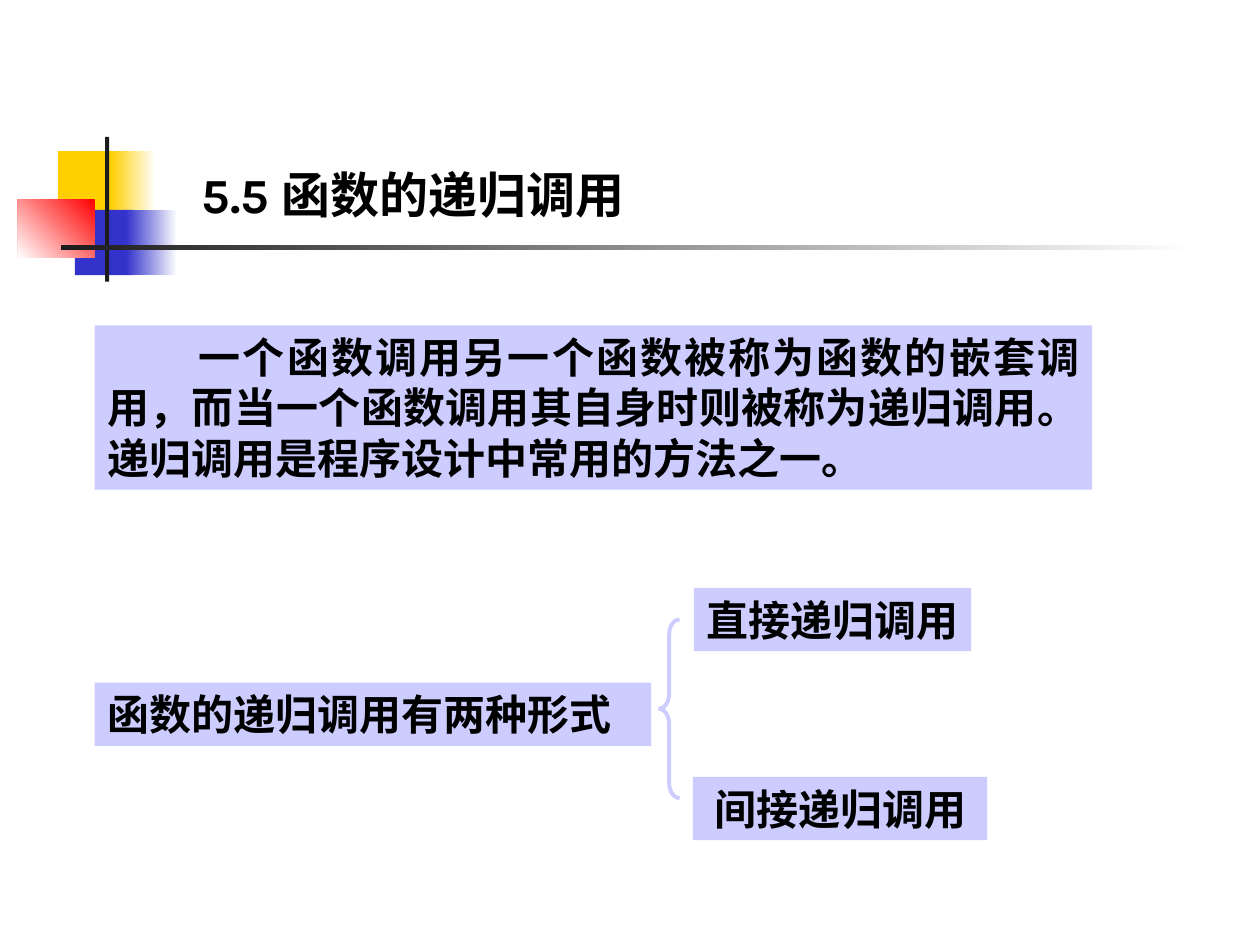
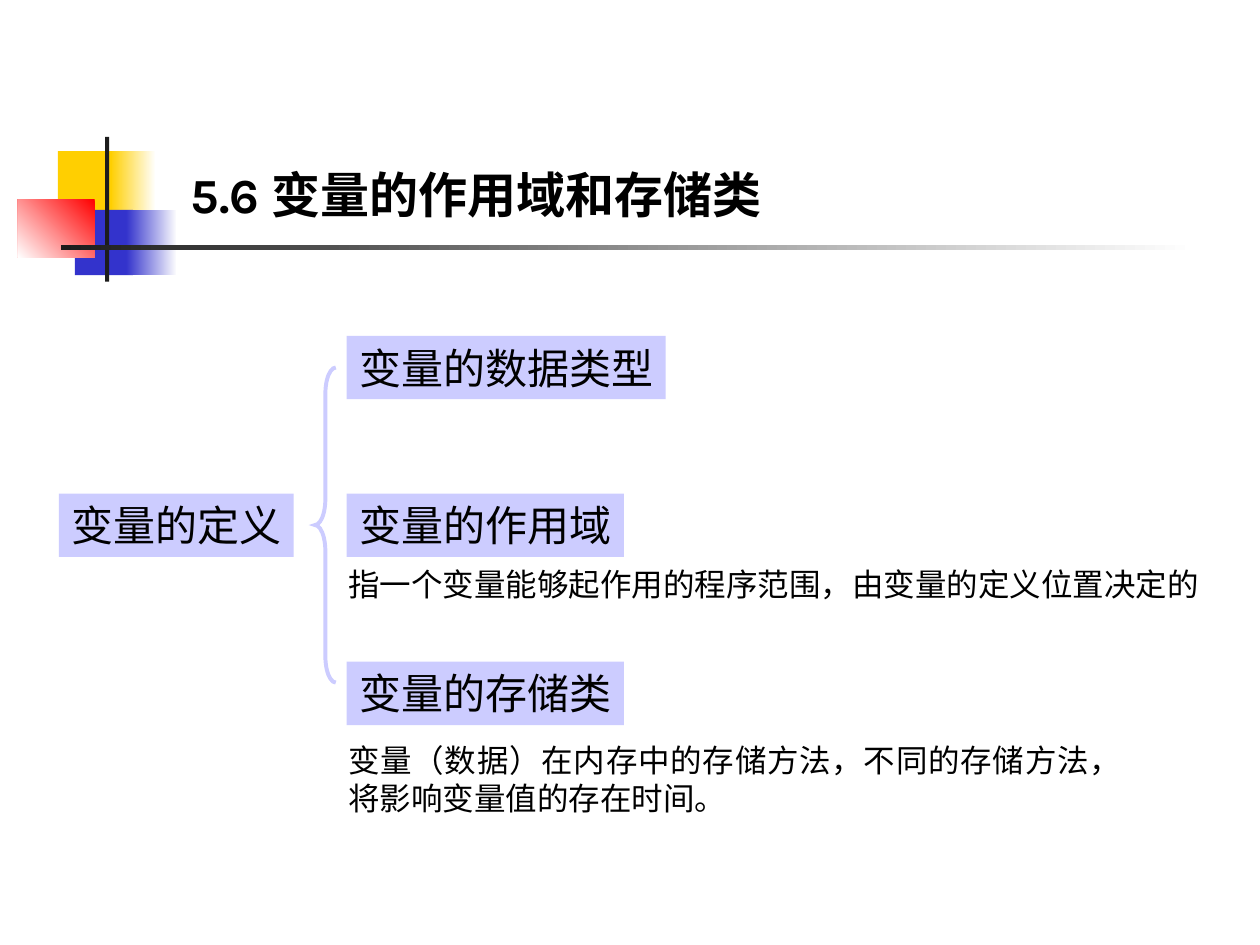
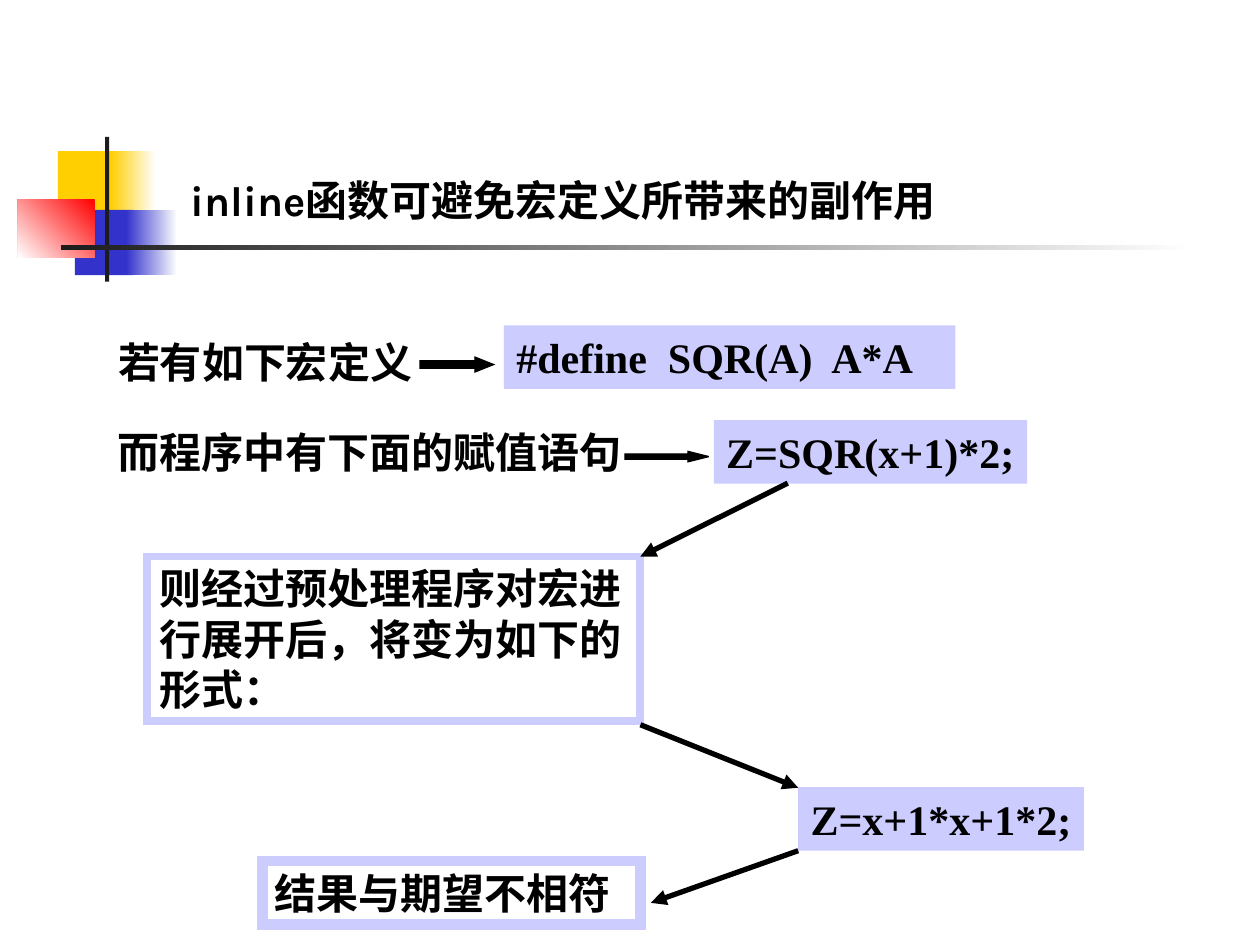
from pptx import Presentation
from pptx.dml.color import RGBColor
from pptx.enum.shapes import MSO_CONNECTOR, MSO_SHAPE
from pptx.enum.text import MSO_ANCHOR, MSO_AUTO_SIZE, PP_ALIGN
from pptx.oxml.ns import qn
from pptx.util import Cm, Pt
from lxml.etree import SubElement

COLORS = {
    "ink": "000000",
    "paper": "FFFFFF",
    "panel": "CCCCFF",
    "yellow": "FFCF01",
    "blue": "3333CC",
    "red": "FF0000",
    "bar": "1C1C1C",
}
CJK = "Noto Sans CJK SC"
SERIF = "Times New Roman"
SANS = "Karla"
ROW = 1.28

EMBLEM = [
    ((1.17, 3.05, 1.22, 1.32), ["yellow"], 0),
    ((2.23, 3.05, 0.91, 1.32), ["paper", "yellow"], 180),
    ((1.51, 4.23, 1.17, 1.32), ["blue"], 0),
    ((2.55, 4.23, 1.02, 1.32), ["paper", "blue"], 180),
    ((0.36, 4.02, 1.55, 1.17), ["red", "paper"], 225),
    ((2.12, 2.76, 0.08, 2.92), ["bar"], 0),
    ((1.23, 4.94, 22.86, 0.1), ["paper", "bar"], 180),
]


def rgb(name):
    return RGBColor.from_string(COLORS[name])


def cm(values):
    return [Cm(value) for value in values]


def add_preset(slide, preset, box, fill=None, line=None, weight=1):
    shape = slide.shapes.add_shape(preset, *cm(box))
    shape.shadow.inherit = False
    if fill:
        shape.fill.solid()
        shape.fill.fore_color.rgb = rgb(fill)
    else:
        shape.fill.background()
    if line:
        shape.line.color.rgb = rgb(line)
        shape.line.width = Pt(weight)
        SubElement(shape.line._get_or_add_ln(), qn("a:miter")).set("lim", "800000")
    else:
        shape.line.fill.background()
    return shape


def write(frame, runs, size=24, bold=True, align=PP_ALIGN.LEFT,
          wrap=True, anchor=MSO_ANCHOR.TOP, indent=0, spacing=None):
    frame_format = {"word_wrap": wrap, "auto_size": MSO_AUTO_SIZE.NONE,
                    "vertical_anchor": anchor}
    for key, value in frame_format.items():
        setattr(frame, key, value)
    paragraph = frame.paragraphs[0]
    for key, value in {"alignment": align, "line_spacing": spacing}.items():
        setattr(paragraph, key, value)
    if indent:
        paragraph._p.get_or_add_pPr().set("indent", str(Cm(indent)))
    for text, face in runs:
        run = paragraph.add_run()
        run.text = text
        for key, value in {"name": face, "size": Pt(size), "bold": bold}.items():
            setattr(run.font, key, value)
        run.font.color.rgb = rgb("ink")
        SubElement(run._r.get_or_add_rPr(), qn("a:ea")).set("typeface", CJK)


def add_panel(slide, text, box, face=CJK, **style):
    panel = add_preset(slide, MSO_SHAPE.RECTANGLE, box, fill="panel")
    write(panel.text_frame, [(text, face)], **style)


def add_framed(slide, text, box, weight, face):
    framed = add_preset(slide, MSO_SHAPE.RECTANGLE, box, line="panel", weight=weight)
    write(framed.text_frame, [(text, face)])


def add_label(slide, text, box, face=CJK, **style):
    label = slide.shapes.add_textbox(*cm(box))
    write(label.text_frame, [(text, face)], **style)


def add_brace(slide, box):
    brace = add_preset(slide, MSO_SHAPE.LEFT_BRACE, box, line="panel", weight=2.25)
    brace.adjustments[0] = box[3] / box[2] / 12


def add_block_arrow(slide, box, head):
    arrow = add_preset(slide, MSO_SHAPE.RIGHT_ARROW, box, "ink", "ink", 0.75)
    arrow.adjustments[1] = head


def add_arrow(slide, start, end):
    arrow = slide.shapes.add_connector(MSO_CONNECTOR.STRAIGHT, *cm(start + end))
    arrow.line.color.rgb = rgb("ink")
    arrow.line.width = Pt(3)
    SubElement(arrow.line._get_or_add_ln(), qn("a:tailEnd")).set("type", "triangle")
    SubElement(arrow._element.spPr, qn("a:effectLst"))


def add_emblem(slide):
    layout_tree = slide.slide_layout.shapes.element
    for number, (box, colors, angle) in enumerate(EMBLEM, 100):
        block = add_preset(slide, MSO_SHAPE.RECTANGLE, box, fill=colors[0])
        if len(colors) > 1:
            block.fill.gradient()
            block.fill.gradient_angle = angle
            for stop, color in zip(block.fill.gradient_stops, colors):
                stop.color.rgb = rgb(color)
        block.element.xpath("./p:nvSpPr/p:cNvPr")[0].set("id", str(number))
        layout_tree.append(block.element)


def add_slide(prs, runs, left, width, height=1.65, size=28):
    slide = prs.slides.add_slide(prs.slide_layouts[5])
    title = slide.shapes.title
    place = {"left": left, "top": 2.97, "width": width, "height": height}
    for key, value in place.items():
        setattr(title, key, Cm(value))
    write(title.text_frame, runs, size=size, anchor=MSO_ANCHOR.BOTTOM)
    return slide


def recursion_slide(prs):
    slide = add_slide(prs, [("5.5 ", SANS), ("函数的递归调用", SERIF)], 3.81, 11.4)
    add_emblem(slide)
    add_panel(slide, "一个函数调用另一个函数被称为函数的嵌套调用，而当一个函数调用其自身时"
              "则被称为递归调用。递归调用是程序设计中常用的方法之一。",
              (1.91, 6.56, 20.11, 3.31), align=PP_ALIGN.JUSTIFY, indent=1.85)
    add_panel(slide, "函数的递归调用有两种形式", (1.91, 13.76, 11.22, ROW),
              align=PP_ALIGN.JUSTIFY)
    add_panel(slide, "直接递归调用", (13.99, 11.85, 5.59, ROW),
              align=PP_ALIGN.CENTER, wrap=False)
    add_panel(slide, "间接递归调用", (13.97, 15.66, 5.93, ROW), align=PP_ALIGN.CENTER)
    add_brace(slide, (13.28, 12.49, 0.42, 3.6))


def scope_slide(prs):
    slide = add_slide(prs, [("5.6 ", SANS), ("变量的作用域和存储类", SERIF)], 3.59, 13.51)
    add_label(slide, "变量（数据）在内存中的存储方法，不同的存储方法，将影响变量值的存在时间。",
              (6.77, 14.82, 16.09, 1.78), size=18, bold=False, align=PP_ALIGN.JUSTIFY)
    add_label(slide, "指一个变量能够起作用的程序范围，由变量的定义位置决定的",
              (6.77, 11.26, 17.65, 1.02), size=18, bold=False, wrap=False)
    for text, left, top, width in [
        ("变量的定义", 1.19, 9.95, 4.73),
        ("变量的数据类型", 6.99, 6.77, 6.43),
        ("变量的作用域", 6.99, 9.95, 5.59),
        ("变量的存储类", 6.99, 13.34, 5.59),
    ]:
        add_panel(slide, text, (left, top, width, ROW), bold=False, wrap=False)
    add_brace(slide, (6.35, 7.41, 0.42, 6.35))


def macro_slide(prs):
    slide = add_slide(prs, [("inline", SANS), ("函数可避免宏定义所带来的副作用", CJK)],
                      3.59, 16.71, height=1.69, size=24)
    add_label(slide, "若有如下宏定义", (2.13, 6.77, 6.43, 1.17), SERIF,
              wrap=False, spacing=0.9)
    add_label(slide, "而程序中有下面的赋值语句", (2.12, 8.47, 14.61, 2.12), SANS)
    add_panel(slide, "#define  SQR(A)  A*A", (10.16, 6.56, 9.1, ROW), SERIF)
    add_panel(slide, "Z=SQR(x+1)*2;", (14.39, 8.47, 6.32, ROW), SERIF, wrap=False)
    add_panel(slide, "Z=x+1*x+1*2;", (16.09, 15.87, 5.76, ROW), SERIF, wrap=False)
    add_framed(slide, "则经过预处理程序对宏进行展开后，将变为如下的形式：",
               (2.96, 11.22, 9.95, 3.31), 4.5, SERIF)
    add_framed(slide, "结果与期望不相符", (5.29, 17.36, 7.62, ROW), 6, SANS)
    add_block_arrow(slide, (8.47, 7.2, 1.48, 0.3), 1.25)
    add_block_arrow(slide, (12.6, 9.1, 1.69, 0.21), 2)
    for start, end in [
        ((15.88, 9.74), (12.91, 11.22)),
        ((12.91, 14.61), (16.09, 15.88)),
        ((16.09, 17.15), (13.12, 18.2)),
    ]:
        add_arrow(slide, start, end)


def main():
    prs = Presentation()
    prs.slide_width, prs.slide_height = Cm(25.4), Cm(19.05)
    for build in (recursion_slide, scope_slide, macro_slide):
        build(prs)
    prs.save("out.pptx")


if __name__ == "__main__":
    main()
